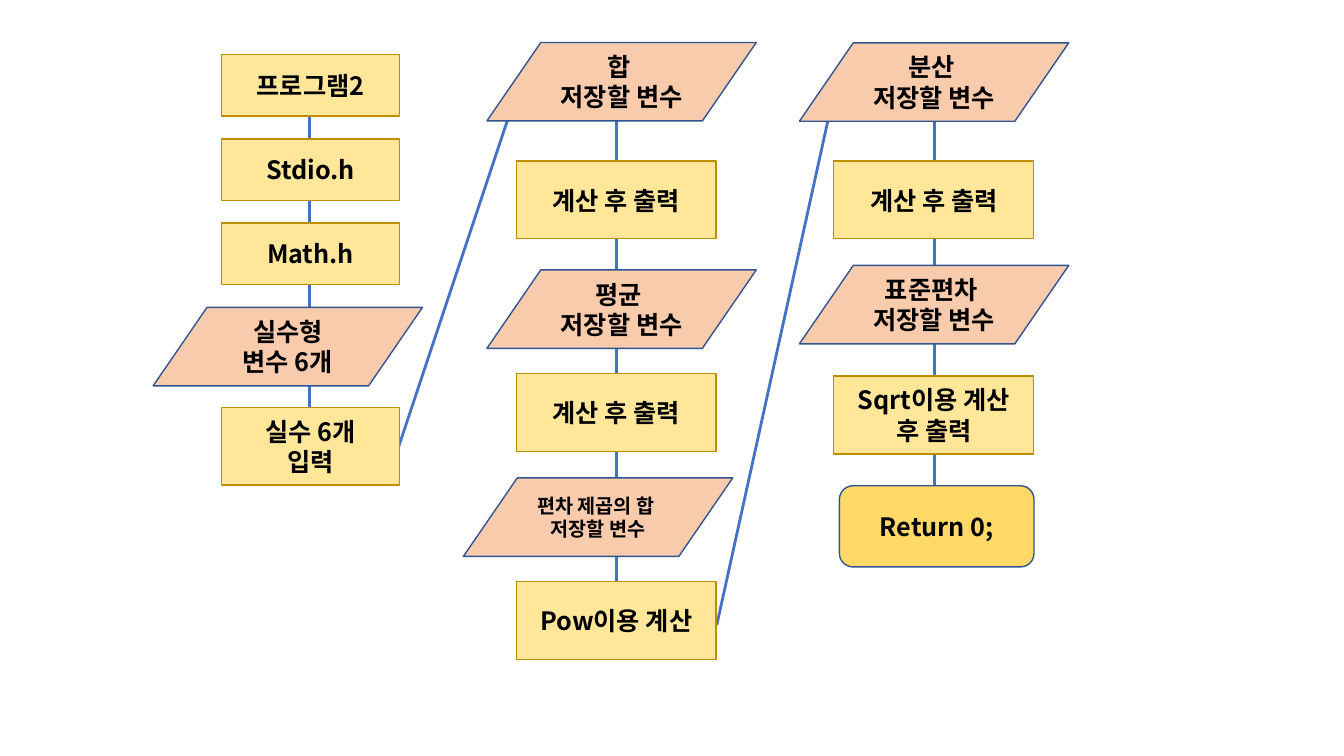
from typing import NamedTuple

from lxml import etree
from pptx import Presentation
from pptx import util as u
from pptx.dml.color import RGBColor
from pptx.enum import shapes, text
from pptx.oxml import ns

FONT = "Noto Sans CJK KR"
BLACK = RGBColor(0x00, 0x00, 0x00)
LINK_BLUE = RGBColor(0x44, 0x72, 0xC4)
EDGE_BLUE = RGBColor(0x32, 0x54, 0x91)
EDGE_GOLD = RGBColor(0xBD, 0x8E, 0x00)
PALE_YELLOW = RGBColor(0xFF, 0xE6, 0x99)
YELLOW = RGBColor(0xFF, 0xD9, 0x66)
PEACH = RGBColor(0xF8, 0xCB, 0xAD)


class Style(NamedTuple):
    """Outline and colours of one kind of flowchart step."""
    preset: shapes.MSO_SHAPE
    fill: RGBColor
    edge: RGBColor


class Step(NamedTuple):
    """A flowchart step, with lengths in points."""
    style: Style
    left: float
    top: float
    width: float
    height: float
    words: str
    size: int = 18


class Link(NamedTuple):
    """A straight line between two points."""
    x1: float
    y1: float
    x2: float
    y2: float


PROCESS = Style(shapes.MSO_SHAPE.RECTANGLE, PALE_YELLOW, EDGE_GOLD)
DATA = Style(shapes.MSO_SHAPE.FLOWCHART_DATA, PEACH, EDGE_BLUE)
END = Style(shapes.MSO_SHAPE.FLOWCHART_ALTERNATE_PROCESS, YELLOW, EDGE_BLUE)

SETUP_LEFT, SETUP_WIDTH = 158.4, 126.8
SETUP_TOP, SETUP_PITCH = 39, 60.2
SUM_LEFT, VARIANCE_LEFT = 368.8, 595.6
CALC_WIDTH, CALC_HEIGHT = 142.8, 55.6
DATA_WIDTH, DATA_HEIGHT = 192.4, 56


def calc(left: float, top: float, words: str = "계산 후 출력") -> Step:
    """Describe a calculation box."""
    return Step(PROCESS, left, top, CALC_WIDTH, CALC_HEIGHT, words)


def data(left: float, top: float, words: str, size: int = 18) -> Step:
    """Describe a variable parallelogram."""
    return Step(DATA, left, top, DATA_WIDTH, DATA_HEIGHT, words, size)


def store(left: float, top: float, name: str, size: int = 18) -> Step:
    """Describe a parallelogram for a variable that stores a result."""
    return data(left, top, f"{name} \n저장할 변수", size)


LINKS = [
    Link(512, 446.4, 595.6, 67),
    Link(284.8, 319, 368.8, 67),
    Link(667.4, 50.4, 667.4, 373),
    Link(440.2, 57.6, 440.2, 443.5),
    Link(221.2, 62, 221.2, 327.6),
]

STEPS = [
    *(Step(PROCESS, SETUP_LEFT, SETUP_TOP + row * SETUP_PITCH, SETUP_WIDTH, 44, words)
      for row, words in enumerate(["프로그램2", "Stdio.h", "Math.h"])),
    data(109.4, 219.6, "실수형\n변수 6개"),
    Step(PROCESS, SETUP_LEFT, 291, SETUP_WIDTH, CALC_HEIGHT, "실수 6개\n입력"),
    store(347.8, 30.4, "합"),
    calc(SUM_LEFT, 115),
    store(347.8, 192.8, "평균"),
    calc(SUM_LEFT, 266.8),
    store(331, 341.4, "편차 제곱의 합", 14),
    calc(SUM_LEFT, 415.4, "Pow이용 계산"),
    store(571, 30.6, "분산"),
    calc(VARIANCE_LEFT, 115),
    store(571, 189.6, "표준편차"),
    calc(VARIANCE_LEFT, 268.6, "Sqrt이용 계산 후 출력"),
    Step(END, 599.6, 347, 139, 58, "Return 0;"),
]


def draw_link(page, link: Link) -> None:
    """Draw a line without a shadow."""
    line = page.shapes.add_connector(
        shapes.MSO_CONNECTOR.STRAIGHT, *(u.Pt(value) for value in link))
    line.line.color.rgb = LINK_BLUE
    line.line.width = u.Pt(2)
    etree.SubElement(line._element.spPr, ns.qn("a:effectLst"))


def draw_step(page, step: Step) -> None:
    """Draw a step with its centred bold text."""
    box = page.shapes.add_shape(
        step.style.preset, u.Pt(step.left), u.Pt(step.top),
        u.Pt(step.width), u.Pt(step.height))
    box.shadow.inherit = False
    box.fill.solid()
    box.fill.fore_color.rgb = step.style.fill
    box.line.color.rgb = step.style.edge
    box.line.width = u.Pt(1)
    frame = box.text_frame
    frame.word_wrap = True
    frame.vertical_anchor = text.MSO_ANCHOR.MIDDLE
    frame.text = step.words
    for para in frame.paragraphs:
        para.alignment = text.PP_ALIGN.CENTER
        para.font.name = FONT
        para.font.size = u.Pt(step.size)
        para.font.bold = True
        para.font.color.rgb = BLACK
        defaults = para._p.find(".//" + ns.qn("a:defRPr"))
        etree.SubElement(defaults, ns.qn("a:ea"), typeface=FONT)


def main() -> None:
    """Build and save the flowchart."""
    deck = Presentation()
    deck.slide_width, deck.slide_height = u.Pt(960), u.Pt(540)
    page = deck.slides.add_slide(deck.slide_layouts[6])
    for link in LINKS:
        draw_link(page, link)
    for step in STEPS:
        draw_step(page, step)
    deck.save("out.pptx")


main()
